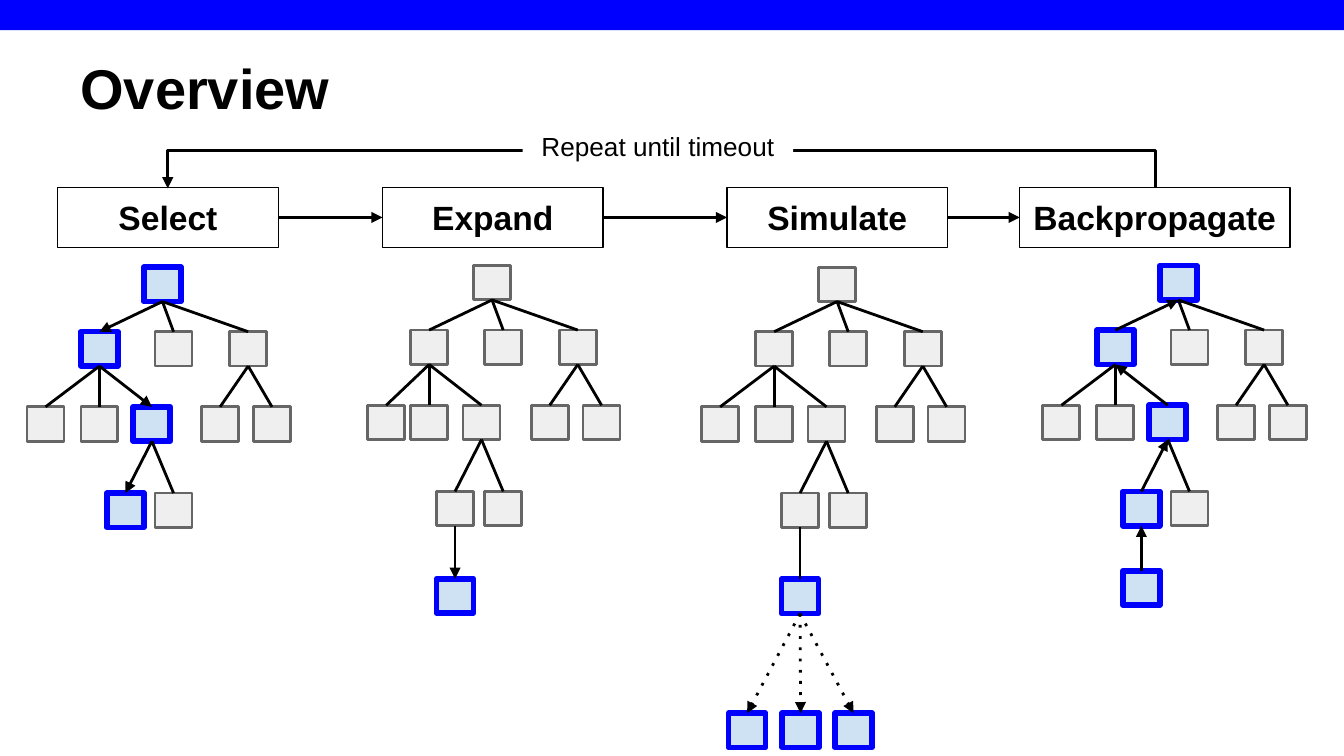
from lxml.etree import SubElement
from pptx import Presentation
from pptx.dml.color import RGBColor
from pptx.enum.shapes import MSO_CONNECTOR as Connector, MSO_SHAPE as Preset
from pptx.enum.text import MSO_ANCHOR as Anchor, PP_ALIGN as Align
from pptx.oxml.ns import qn
from pptx.util import Cm, Pt

BLUE = RGBColor(0x00, 0x00, 0xFF)
PALE_BLUE = RGBColor(0xCF, 0xE2, 0xF3)
PALE_GRAY = RGBColor(0xEF, 0xEF, 0xEF)
DARK_GRAY = RGBColor(0x66, 0x66, 0x66)
BLACK = RGBColor(0x00, 0x00, 0x00)
WHITE = RGBColor(0xFF, 0xFF, 0xFF)

NODE_WIDTH, NODE_HEIGHT = 0.7, 0.65
ROWS = (0, 1.22, 2.64, 4.27)
NODES = {
    "root": (0, ROWS[0]),
    "left": (-1.19, ROWS[1]),
    "middle": (0.21, ROWS[1]),
    "right": (1.62, ROWS[1]),
    "left 1": (-2.21, ROWS[2]),
    "left 2": (-1.19, ROWS[2]),
    "left 3": (-0.2, ROWS[2]),
    "right 1": (1.09, ROWS[2]),
    "right 2": (2.07, ROWS[2]),
    "leaf 1": (-0.7, ROWS[3]),
    "leaf 2": (0.21, ROWS[3]),
}
PARENTS = {
    "left": "root", "middle": "root", "right": "root",
    "left 1": "left", "left 2": "left", "left 3": "left",
    "right 1": "right", "right 2": "right",
    "leaf 1": "left 3", "leaf 2": "left 3",
    "new": "leaf 1",
    "rollout 1": "new", "rollout 2": "new", "rollout 3": "new",
}
BEST_PATH = ("left", "left 3", "leaf 1")
ROLLOUTS = {"rollout 1": (-1.7, 8.43), "rollout 2": (-0.69, 8.43), "rollout 3": (0.31, 8.43)}

STEP_TOP, STEP_HEIGHT = 3.54, 1.14
STEPS = (("Select", 1.09, 4.17), ("Expand", 7.23, 4.17),
         ("Simulate", 13.74, 4.17), ("Backpropagate", 19.27, 5.11))
LOOP_START, LOOP_END, LOOP_TOP, LOOP_DROP = 21.83, 3.17, 2.85, 0.02


def write_text(shape, text, size=18, bold=False, align=Align.CENTER, anchor=Anchor.MIDDLE, wrap=True):
    frame = shape.text_frame
    frame.word_wrap = wrap
    frame.vertical_anchor = anchor
    frame.margin_left = frame.margin_right = Cm(0.25)
    frame.margin_top = frame.margin_bottom = Cm(0.25)
    paragraph = frame.paragraphs[0]
    paragraph.alignment = align
    run = paragraph.add_run()
    run.text = text
    run.font.name = "Arial"
    run.font.size = Pt(size)
    run.font.bold = bold
    run.font.color.rgb = BLACK


def add_box(slide, left, top, width, height, fill=None, line=None, weight=0.75):
    shape = slide.shapes.add_shape(Preset.RECTANGLE, Cm(left), Cm(top), Cm(width), Cm(height))
    shape.shadow.inherit = False
    if fill is None:
        shape.fill.background()
    else:
        shape.fill.solid()
        shape.fill.fore_color.rgb = fill
    if line is None:
        shape.line.fill.background()
    else:
        shape.line.color.rgb = line
        shape.line.width = Pt(weight)
    return shape


def add_line(slide, start, end, head=False, tail=False, dotted=False, kind=Connector.STRAIGHT):
    points = [Cm(value) for value in (*start, *end)]
    connector = slide.shapes.add_connector(kind, *points)
    connector.line.color.rgb = BLACK
    connector.line.width = Pt(1.5)
    properties = connector._element.spPr
    outline = properties.find(qn("a:ln"))
    if dotted:
        SubElement(outline, qn("a:prstDash"), val="dot")
    if head:
        SubElement(outline, qn("a:headEnd"), type="triangle")
    if tail:
        SubElement(outline, qn("a:tailEnd"), type="triangle")
    SubElement(properties, qn("a:effectLst"))
    return connector


def add_tree(slide, left, top, highlighted=(), forward=(), backward=(), extra=None):
    nodes = {**NODES, **(extra or {})}
    for name, (x, y) in nodes.items():
        if name in highlighted:
            look = {"fill": PALE_BLUE, "line": BLUE, "weight": 3}
        else:
            look = {"fill": PALE_GRAY, "line": DARK_GRAY, "weight": 1.5}
        add_box(slide, left + x, top + y, NODE_WIDTH, NODE_HEIGHT, **look)
    center = left + NODE_WIDTH / 2
    for child, parent in PARENTS.items():
        if child in nodes:
            parent_x, parent_y = nodes[parent]
            child_x, child_y = nodes[child]
            add_line(slide, (center + parent_x, top + parent_y + NODE_HEIGHT),
                     (center + child_x, top + child_y),
                     head=child in backward, tail=child in forward, dotted=child in ROLLOUTS)


def add_steps(slide):
    for name, left, width in STEPS:
        box = add_box(slide, left, STEP_TOP, width, STEP_HEIGHT, line=BLACK)
        write_text(box, name, bold=True, wrap=False)
    middle = STEP_TOP + STEP_HEIGHT / 2
    for (_, left, width), (_, next_left, _) in zip(STEPS, STEPS[1:]):
        add_line(slide, (left + width, middle), (next_left, middle), tail=True)


def add_loop(slide):
    center_x = (LOOP_START + LOOP_END) / 2
    center_y = STEP_TOP + LOOP_DROP / 2
    reach = (LOOP_START - LOOP_END) / 2
    loop = add_line(slide, (center_x - LOOP_DROP / 2, center_y - reach),
                    (center_x + LOOP_DROP / 2, center_y + reach), tail=True, kind=Connector.ELBOW)
    properties = loop._element.spPr
    properties.find(qn("a:xfrm")).set("rot", "5400000")
    geometry = properties.find(qn("a:prstGeom"))
    guides = geometry.find(qn("a:avLst"))
    if guides is None:
        guides = SubElement(geometry, qn("a:avLst"))
    bend = round((LOOP_TOP - STEP_TOP) / LOOP_DROP * 100000)
    SubElement(guides, qn("a:gd"), name="adj1", fmla=f"val {bend}")
    label = add_box(slide, 9.88, 2.26, 5.11, 0.99, fill=WHITE)
    write_text(label, "Repeat until timeout", size=14, wrap=False)


def add_title(slide, text):
    title = slide.shapes.title
    title.left, title.top, title.width, title.height = Cm(1.27), Cm(0.15), Cm(22.86), Cm(2.39)
    write_text(title, text, size=30, bold=True, align=Align.LEFT, anchor=Anchor.BOTTOM)


def main():
    presentation = Presentation()
    presentation.slide_width, presentation.slide_height = Cm(25.4), Cm(14.29)
    slide = presentation.slides.add_slide(presentation.slide_layouts[5])
    add_box(slide, 0, 0, 25.4, 0.57, fill=BLUE)
    add_title(slide, "Overview")
    add_tree(slide, 2.72, 5.05, highlighted=("root", *BEST_PATH), forward=BEST_PATH)
    add_tree(slide, 8.95, 5.02, highlighted=("new",), forward=("new",),
             extra={"left 1": (-2, ROWS[2]), "new": (-0.7, 5.92)})
    add_tree(slide, 15.47, 5.05, highlighted=("new", *ROLLOUTS), forward=ROLLOUTS,
             extra={"new": (-0.7, 5.9), **ROLLOUTS})
    add_tree(slide, 21.92, 5.02, highlighted=("root", *BEST_PATH, "new"),
             backward=(*BEST_PATH, "new"), extra={"new": (-0.7, 5.77)})
    add_steps(slide)
    add_loop(slide)
    presentation.save("out.pptx")


if __name__ == "__main__":
    main()
